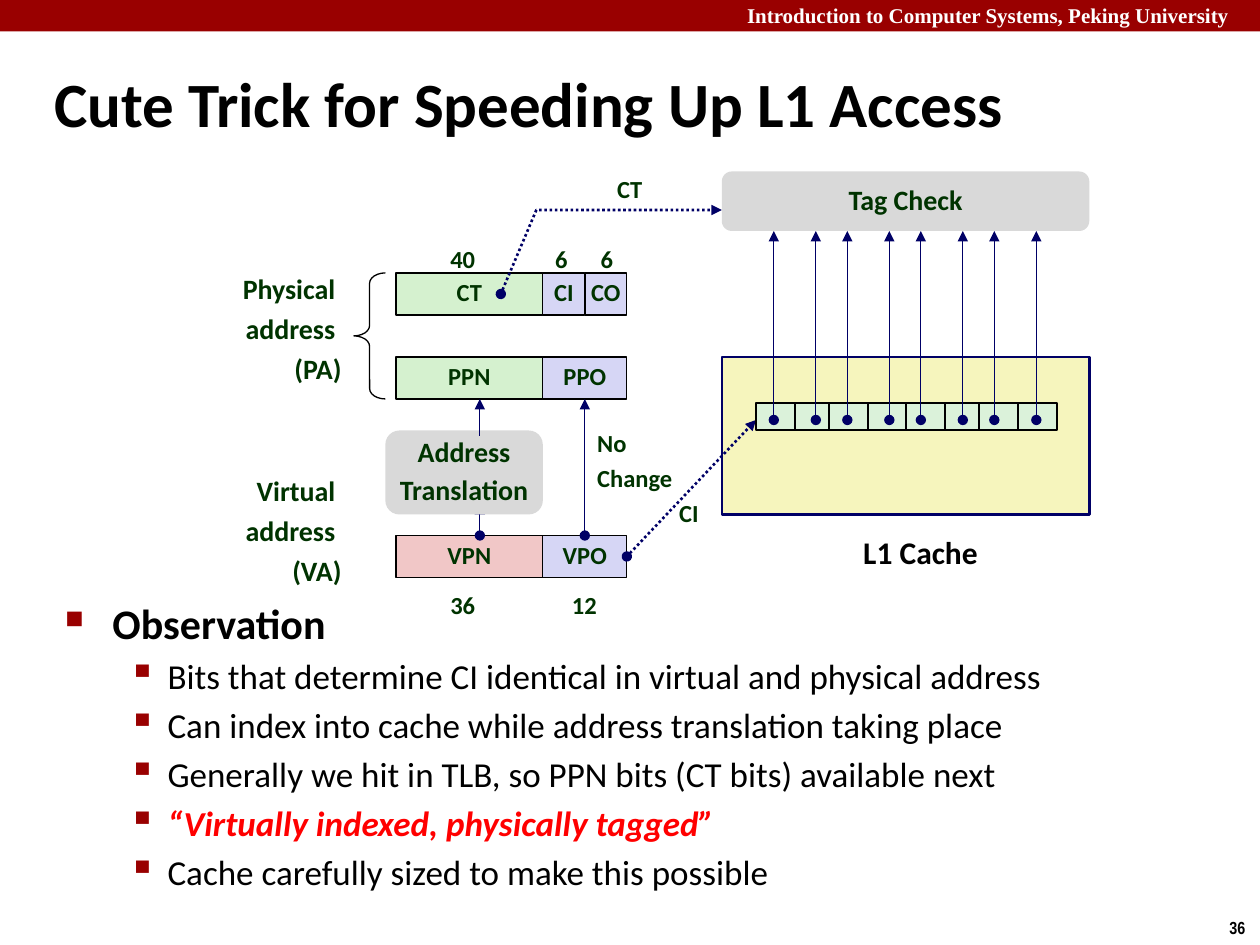
"""Build the slide about overlapping L1 cache indexing with address translation."""
from lxml import etree
from pptx import Presentation
from pptx.dml.color import RGBColor
from pptx.enum.dml import MSO_LINE
from pptx.enum.shapes import MSO_CONNECTOR, MSO_SHAPE
from pptx.enum.text import MSO_ANCHOR, PP_ALIGN
from pptx.oxml.ns import qn
from pptx.util import Pt

RECT, ROUND, BRACE = MSO_SHAPE.RECTANGLE, MSO_SHAPE.ROUNDED_RECTANGLE, MSO_SHAPE.LEFT_BRACE
STRAIGHT, DOTTED = MSO_CONNECTOR.STRAIGHT, MSO_LINE.ROUND_DOT
TOP, MIDDLE = MSO_ANCHOR.TOP, MSO_ANCHOR.MIDDLE
LEFT, CENTER, RIGHT = PP_ALIGN.LEFT, PP_ALIGN.CENTER, PP_ALIGN.RIGHT

THEME = {
    "colours": {
        "crimson": "990000", "white": "FFFFFF", "black": "000000", "red": "FF0000",
        "ink": "003300", "navy": "000066", "green": "D5F1CF", "lilac": "D6D6F5",
        "pink": "F1C7C7", "grey": "D9D9D9", "yellow": "F6F5BD", "mint": "DBF2DA",
    },
    "text": {
        "header": ("white", {"name": "Times New Roman", "size": Pt(12), "bold": True}),
        "number": ("black", {"name": "Arial Narrow", "size": Pt(10), "bold": True}),
        "title": ("black", {"name": "Calibri", "size": Pt(36), "bold": True}),
        "topic": ("black", {"name": "Calibri", "size": Pt(24), "bold": True}),
        "point": ("black", {"name": "Calibri", "size": Pt(20), "bold": False}),
        "stress": ("red", {"name": "Calibri", "size": Pt(20), "bold": True, "italic": True}),
        "caption": ("black", {"name": "Calibri", "size": Pt(18), "bold": True}),
        "large": ("ink", {"name": "Calibri", "size": Pt(16), "bold": True}),
        "small": ("ink", {"name": "Calibri", "size": Pt(14), "bold": True}),
    },
}
COLOURS = {name: RGBColor.from_string(code) for name, code in THEME["colours"].items()}

deck = Presentation()
deck.slide_width, deck.slide_height = Pt(720), Pt(540)
page = deck.slides.add_slide(deck.slide_layouts[6])


def add_box(area, lines=(), kind=None, fill=None, outline=None, weight=0.75,
            align=LEFT, anchor=TOP, wrap=False, spacing=None, gap=0):
    """Add a text box or preset shape holding (text, style) lines."""
    place = [Pt(value) for value in area]
    if kind is None:
        box = page.shapes.add_textbox(*place)
    else:
        box = page.shapes.add_shape(kind, *place)
        box.shadow.inherit = False
        for paint, colour in ((box.fill, fill), (box.line.fill, outline)):
            if colour:
                paint.solid()
                paint.fore_color.rgb = COLOURS[colour]
            else:
                paint.background()
        if outline:
            box.line.width = Pt(weight)
    frame = box.text_frame
    frame.word_wrap, frame.vertical_anchor = wrap, anchor
    for index, (text, style) in enumerate(lines):
        para = frame.add_paragraph() if index else frame.paragraphs[0]
        layout = {"alignment": align, "line_spacing": spacing, "space_before": Pt(gap if index else 0)}
        for name, value in layout.items():
            setattr(para, name, value)
        span = para.add_run()
        span.text = text
        colour, formats = THEME["text"][style]
        span.font.color.rgb = COLOURS[colour]
        for name, value in formats.items():
            setattr(span.font, name, value)
    return box


def add_arrow(points, dotted=False, dot=True):
    """Draw a navy arrow through the points, with an optional starting dot."""
    points = [(Pt(x), Pt(y)) for x, y in points]
    if len(points) == 2:
        arrow = page.shapes.add_connector(STRAIGHT, *points[0], *points[1])
    else:
        outline = page.shapes.build_freeform(*points[0])
        outline.add_line_segments(points[1:], close=False)
        arrow = outline.convert_to_shape()
        arrow.fill.background()
    arrow.line.color.rgb = COLOURS["navy"]
    arrow.line.width = Pt(1.5 if dotted else 0.75)
    if dotted:
        arrow.line.dash_style = DOTTED
    properties = arrow.element.spPr
    stroke = properties.find(qn("a:ln"))
    if dot:
        etree.SubElement(stroke, qn("a:headEnd"), type="oval")
    etree.SubElement(stroke, qn("a:tailEnd"), type="triangle")
    etree.SubElement(properties, qn("a:effectLst"))


add_box((0, 0, 720, 18), kind=RECT, fill="crimson")
add_box((419.8, -2.2, 305, 21.6), [("Introduction to Computer Systems, Peking University", "header")], wrap=True)
add_box((695.5, 520.6, 24.5, 19.4), [("36", "number")])
add_box((23.8, 36, 624, 45.4), [("Cute Trick for Speeding Up L1 Access", "title")], anchor=MIDDLE, wrap=True)

observations = [
    ("Observation", "topic"),
    ("Bits that determine CI identical in virtual and physical address", "point"),
    ("Can index into cache while address translation taking place", "point"),
    ("Generally we hit in TLB, so PPN bits (CT bits) available next", "point"),
    ("“Virtually indexed, physically tagged”", "stress"),
    ("Cache carefully sized to make this possible", "point"),
]
body = add_box((30.2, 337.7, 673, 184.3), observations, wrap=True, gap=4)
for index, para in enumerate(body.text_frame.paragraphs):
    level = min(index, 1)
    margin, hanging, size, symbol = ((27, 27, 60, "■"), (58.5, 22.5, 110, "▪"))[level]
    para.level = level
    properties = para._p.get_or_add_pPr()
    properties.set("marL", str(Pt(margin)))
    properties.set("indent", str(-Pt(hanging)))
    bullet_colour = etree.SubElement(properties, qn("a:buClr"))
    etree.SubElement(bullet_colour, qn("a:srgbClr"), val=THEME["colours"]["crimson"])
    etree.SubElement(properties, qn("a:buSzPct"), val=str(size * 1000))
    etree.SubElement(properties, qn("a:buChar"), char=symbol)

for top, first, last in ((154, "Physical ", "(PA)"), (269.3, "Virtual ", "(VA)")):
    add_box((118, top, 84.3, 70.6), [(text, "large") for text in (first, "address ", last)],
            align=RIGHT, wrap=True, spacing=0.88, gap=6)

fields = [
    ("CT", 226.2, 156, 84, "green"), ("CI", 310.2, 156, 24, "lilac"), ("CO", 334.2, 156, 24, "lilac"),
    ("PPN", 226.2, 204, 84, "green"), ("PPO", 310.2, 204, 48, "lilac"),
    ("VPN", 226.2, 306, 84, "pink"), ("VPO", 310.2, 306, 48, "lilac"),
]
for text, left, top, width, fill in fields:
    add_box((left, top, width, 24), [(text, "small")], RECT, fill, "black",
            align=CENTER, anchor=MIDDLE, spacing=0.88)

brace = add_box((202.2, 156, 18, 72), kind=BRACE, outline="black")
brace.adjustments[0] = 0.33

add_arrow([(274.2, 306), (274.2, 288)])
add_box((220.2, 246, 90, 48), [("Address", "large"), ("Translation", "large")], ROUND, "grey",
        align=CENTER, anchor=MIDDLE, spacing=0.88, gap=5.2)
add_arrow([(274.2, 249), (274.2, 228)], dot=False)
add_arrow([(334.2, 306), (334.2, 228)])

add_box((412.5, 204, 210, 90), kind=RECT, fill="yellow", outline="navy", weight=1.5)
add_arrow([(358.2, 318), (432, 240)], dotted=True)
add_arrow([(286.2, 168), (306.5, 120), (412.5, 120)], dotted=True)

labels = [
    (("40",), 250.2, 138, 29), (("6",), 310.2, 138, 22), (("6",), 336.2, 138, 22),
    (("36",), 250.2, 336, 29), (("12",), 319.7, 336, 29), (("CT",), 345.5, 98, 29),
    (("CI",), 381, 283.5, 26), (("No", "Change"), 334.2, 243.2, 57.5),
]
for texts, left, top, width in labels:
    add_box((left, top, width, 22.2 * len(texts)), [(text, "small") for text in texts],
            spacing=0.88, gap=5.2)
add_box((478, 301, 96, 28.8), [("L1 Cache", "caption")], align=CENTER, wrap=True)

for start in (432, 517.7):
    for offset in (0, 22.3, 41.8, 64.1):
        add_box((start + offset, 230.3, 22.3, 15.6), kind=RECT, fill="mint", outline="black", weight=1)
for pair in range(4):
    for offset in (0, 24):
        column = 442.2 + 42 * pair + offset
        add_arrow([(column, 240), (column, 132)])

add_box((412.5, 98, 210, 34), [("Tag Check", "large")], ROUND, "grey",
        align=CENTER, anchor=MIDDLE, spacing=0.88)

deck.save("out.pptx")
